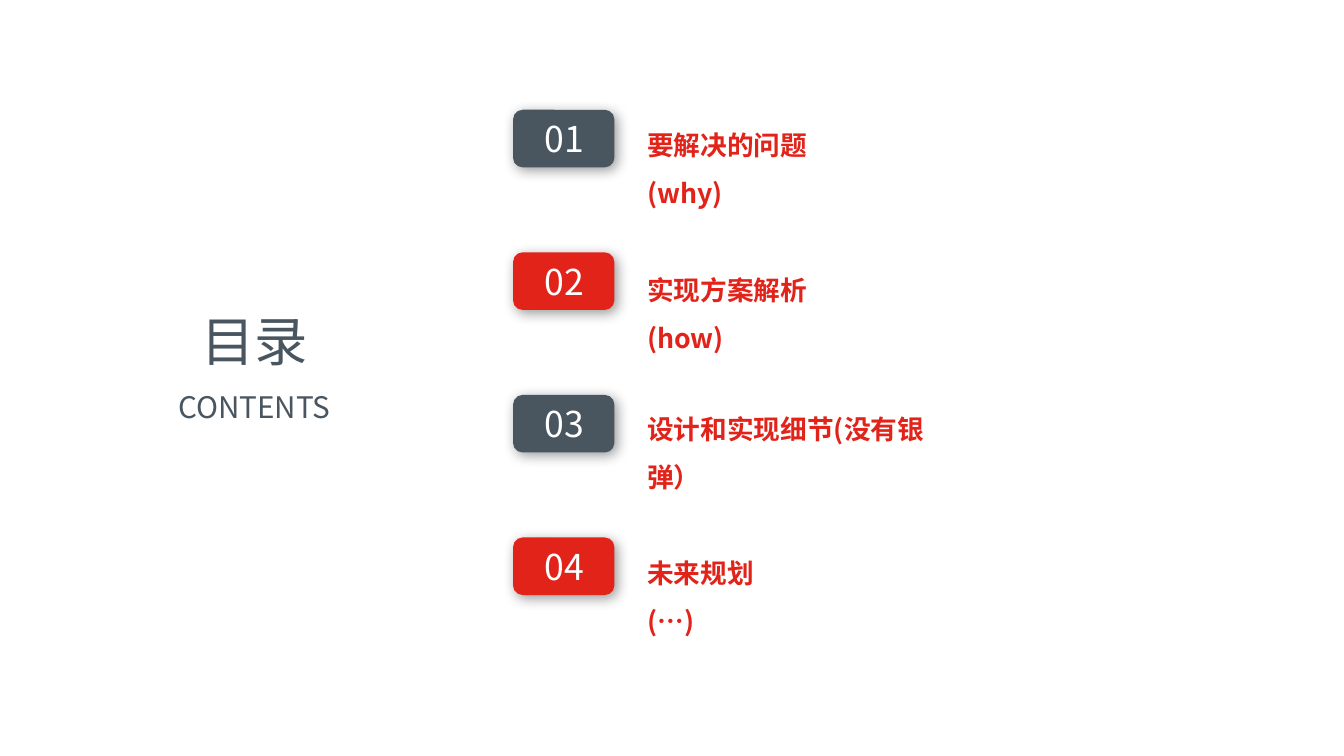
from pptx import Presentation, util as u
from pptx.dml.color import RGBColor
from pptx.enum import shapes, text
from pptx.oxml import parse_xml
from pptx.oxml.ns import nsdecls, qn

SLATE = RGBColor(0x49, 0x55, 0x5F)
RED = RGBColor(0xE2, 0x23, 0x1A)
WHITE = RGBColor(0xFF, 0xFF, 0xFF)
FONT = "Noto Sans CJK SC"

# Grid: a heading column, then four agenda rows of badge and label
HEADING_LEFT, HEADING_W = 1.53, 1.71
ROW_TOP, ROW_STEP = 1.03, 1.337
BADGE_LEFT, BADGE_W, BADGE_H = 4.81, 0.95, 0.54
NUMBER_W, NUMBER_H = 0.6, 0.5
LABEL_LEFT, LABEL_H = 5.97, 0.56

# Label, its width, its shift from the row's top
AGENDA = [
    ("要解决的问题(why)", 2.2, -0.02),
    ("实现方案解析(how)", 2.2, 0),
    ("设计和实现细节(没有银弹）", 3.1, -0.03),
    ("未来规划(…)", 1.5, -0.02),
]


def place(s, left, top, width, height):
    s.left, s.top, s.width, s.height = map(u.Inches, (left, top, width, height))


def write(s, words, size, color, align=text.PP_ALIGN.LEFT, bold=False,
          spacing=1.0, wrap=False):
    tf = s.text_frame
    tf.text = words
    tf.word_wrap = wrap
    tf.auto_size = text.MSO_AUTO_SIZE.NONE
    tf.vertical_anchor = text.MSO_ANCHOR.TOP
    p = tf.paragraphs[0]
    p.alignment, p.line_spacing = align, spacing
    font = p.runs[0].font
    font.name, font.size, font.bold = FONT, u.Pt(size), bold
    font.color.rgb = color
    # East Asian characters take their own typeface entry
    ea = p.runs[0]._r.get_or_add_rPr().makeelement(qn("a:ea"), {"typeface": FONT})
    p.runs[0]._r.rPr.find(qn("a:latin")).addnext(ea)


def add_text(slide, box, words, size, color, **style):
    s = slide.shapes.add_textbox(0, 0, 0, 0)
    place(s, *box)
    write(s, words, size, color, **style)


def add_badge(slide, top, color):
    s = slide.shapes.add_shape(shapes.MSO_SHAPE.ROUNDED_RECTANGLE, 0, 0, 0, 0)
    place(s, BADGE_LEFT, top, BADGE_W, BADGE_H)
    s.fill.solid()
    s.fill.fore_color.rgb = color
    s.line.fill.background()
    # Soft shadow to the lower right
    s._element.spPr.append(parse_xml(
        f'<a:effectLst {nsdecls("a")}><a:outerShdw blurRad="{u.Pt(9)}" '
        f'dist="{u.Pt(3)}" dir="2700000" algn="tl" rotWithShape="0">'
        '<a:srgbClr val="000000"><a:alpha val="40000"/></a:srgbClr>'
        '</a:outerShdw></a:effectLst>'))


def add_agenda_row(slide, i, label, width, shift):
    top = ROW_TOP + i * ROW_STEP
    add_badge(slide, top, RED if i % 2 else SLATE)
    add_text(slide, (BADGE_LEFT + 0.2, top + (BADGE_H - NUMBER_H) / 2,
                     NUMBER_W, NUMBER_H), f"{i + 1:02}", 24, WHITE)
    add_text(slide, (LABEL_LEFT, top + shift, width, LABEL_H), label, 18, RED,
             bold=True, spacing=1.5, wrap=True)


def main():
    prs = Presentation()
    prs.slide_width, prs.slide_height = u.Inches(12.6), u.Inches(7.09)
    slide = prs.slides.add_slide(prs.slide_layouts[5])

    # Heading
    place(slide.shapes.title, HEADING_LEFT, 2.84, HEADING_W, 0.71)
    write(slide.shapes.title, "目录", 36, SLATE, align=text.PP_ALIGN.CENTER)
    add_text(slide, (HEADING_LEFT, 3.6, HEADING_W, 0.44), "CONTENTS", 20, SLATE,
             align=text.PP_ALIGN.CENTER)

    # Agenda
    for i, item in enumerate(AGENDA):
        add_agenda_row(slide, i, *item)

    prs.save("out.pptx")


if __name__ == "__main__":
    main()
